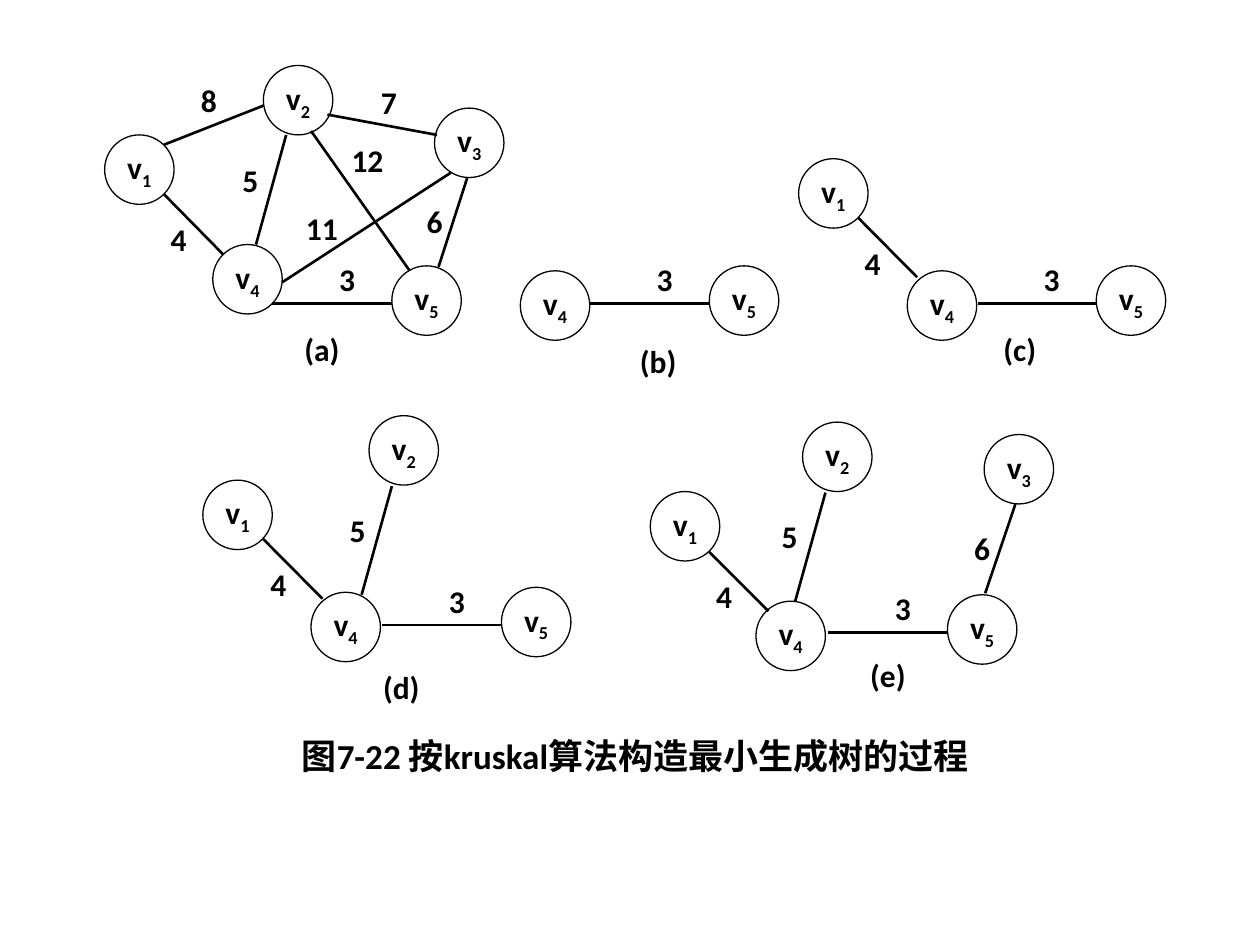
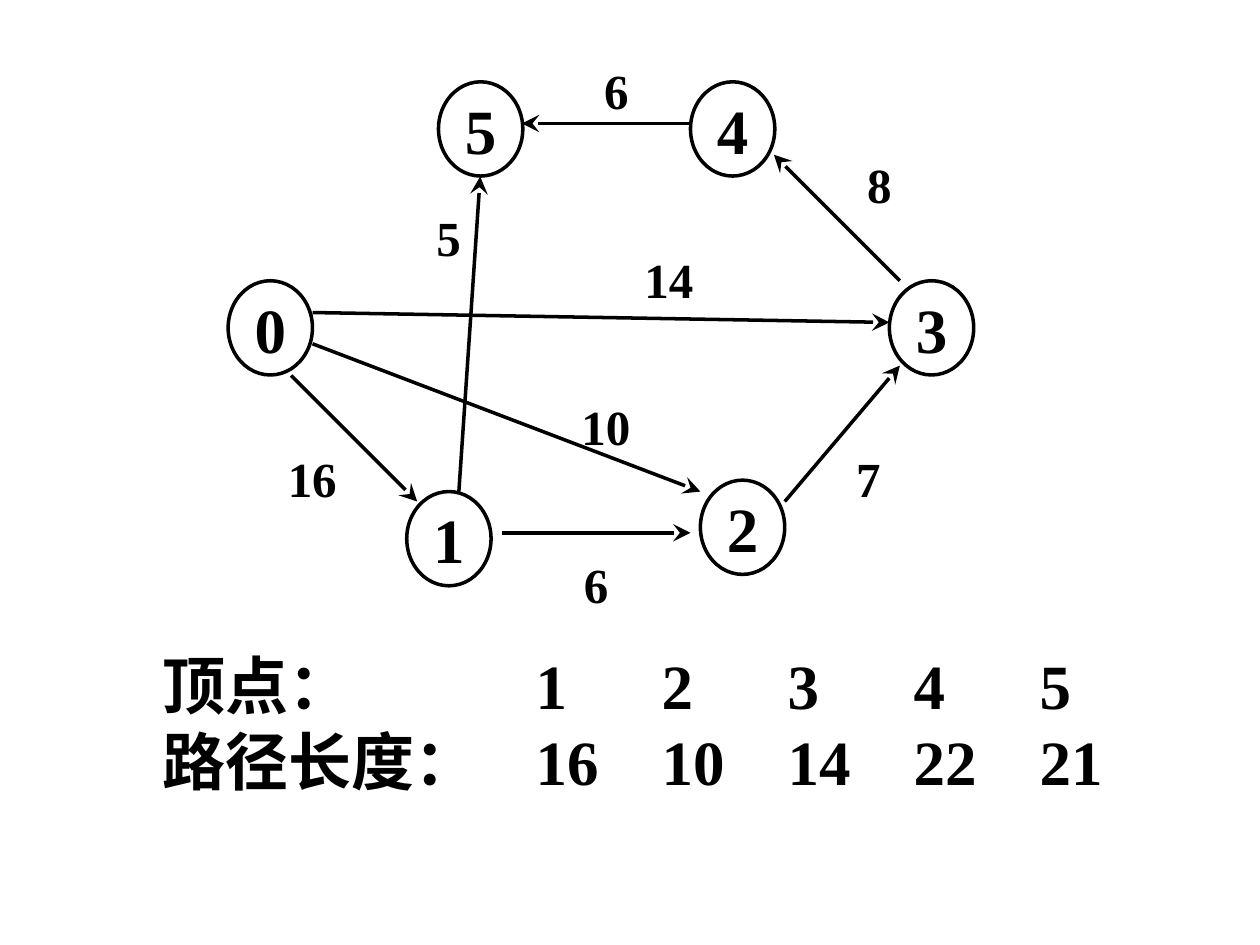
from lxml import etree
from pptx import Presentation
from pptx.dml.color import RGBColor
from pptx.enum.shapes import MSO_CONNECTOR, MSO_SHAPE
from pptx.enum.text import MSO_ANCHOR, PP_ALIGN
from pptx.oxml.ns import qn
from pptx.util import Cm, Pt

BLACK = RGBColor(0, 0, 0)
WHITE = RGBColor(255, 255, 255)
SANS, SERIF = "Calibri", "Times New Roman"
OVAL, STRAIGHT = MSO_SHAPE.OVAL, MSO_CONNECTOR.STRAIGHT
MIDDLE, TOP = MSO_ANCHOR.MIDDLE, MSO_ANCHOR.TOP
CENTER, LEFT = PP_ALIGN.CENTER, PP_ALIGN.LEFT

# Graphs in cm. Nodes: number -> left, top. Edges: weight, label corner, start, end.
KRUSKAL_TITLE = "图7-22 按kruskal算法构造最小生成树的过程"
KRUSKAL_STEPS = [
    {
        "caption": ("(a)", (5.89, 6.53)),
        "nodes": {"1": (2.11, 2.72), "2": (5.31, 1.32), "3": (8.76, 2.18),
                  "4": (4.29, 4.93), "5": (7.9, 5.36)},
        "edges": [
            ("4", (3.1, 4.32), (3.3, 3.91), (4.5, 5.13)),
            ("8", (3.71, 1.52), (3.3, 2.92), (5.31, 2.13)),
            ("5", (4.55, 3.12), (5.77, 2.72), (5.16, 4.93)),
            ("7", (7.34, 1.55), (6.6, 2.31), (8.81, 2.72)),
            ("12", (6.91, 2.72), (6.27, 2.64), (8.26, 5.46)),
            ("11", (5.99, 4.09), (5.69, 5.69), (9.09, 3.48)),
            ("3", (6.5, 5.13), (5.49, 6.12), (7.9, 6.12)),
            ("6", (8.26, 3.96), (9.42, 3.58), (8.84, 5.38)),
        ],
    },
    {
        "caption": ("(b)", (12.67, 6.78)),
        "nodes": {"4": (10.49, 5.46), "5": (14.3, 5.36)},
        "edges": [("3", (12.9, 5.13), (11.89, 6.12), (14.3, 6.12))],
    },
    {
        "caption": ("(c)", (19.96, 6.53)),
        "nodes": {"1": (16.1, 3.2), "4": (18.29, 5.46), "5": (22.1, 5.36)},
        "edges": [
            ("4", (17.09, 4.8), (17.3, 4.39), (18.49, 5.59)),
            ("3", (20.7, 5.13), (19.71, 6.12), (22.1, 6.12)),
        ],
    },
    {
        "caption": ("(d)", (7.49, 13.34)),
        "nodes": {"1": (4.09, 9.68), "2": (7.44, 8.38), "4": (6.27, 11.94),
                  "5": (10.11, 11.84)},
        "edges": [
            ("4", (5.11, 11.28), (5.31, 10.87), (6.5, 12.07)),
            ("5", (6.71, 10.19), (7.9, 9.8), (7.29, 11.99)),
            ("3", (8.71, 11.61), (7.7, 12.6), (10.11, 12.6)),
        ],
    },
    {
        "caption": ("(e)", (17.3, 13.11)),
        "nodes": {"1": (13.11, 9.91), "2": (16.18, 8.51), "3": (19.84, 8.76),
                  "4": (15.24, 12.12), "5": (19.1, 11.99)},
        "edges": [
            ("4", (14.1, 11.51), (14.3, 11.13), (15.49, 12.32)),
            ("5", (15.42, 10.31), (16.64, 9.93), (16.03, 12.12)),
            ("3", (17.7, 11.76), (16.69, 12.75), (19.1, 12.75)),
            ("6", (19.3, 10.54), (20.47, 10.16), (19.86, 11.96)),
        ],
    },
]

PATH_NODES = {"4": (13.92, 1.65), "5": (8.84, 1.65), "3": (17.93, 5.66),
              "2": (14.12, 9.68), "1": (8.2, 9.91), "0": (4.6, 5.66)}
PATH_EDGES = [
    ("8", (17.09, 3.12), (18.14, 5.66), (15.6, 3.12)),
    ("6", (11.38, 11.18), (10.11, 10.74), (13.92, 10.74)),
    ("6", (11.79, 1.22), (13.92, 2.49), (10.52, 2.49)),
    ("7", (16.87, 9.04), (15.82, 10.11), (18.14, 7.37)),
    ("14", (12.85, 5.03), (6.3, 6.3), (17.93, 6.5)),
    ("10", (11.58, 8), (6.3, 6.93), (14.12, 9.91)),
    ("16", (5.66, 9.04), (5.87, 7.57), (8.41, 10.11)),
    ("5", (8.41, 4.19), (9.25, 9.91), (9.68, 3.56)),
]
PATH_ROWS = [
    ("顶点：", "1", "2", "3", "4", "5"),
    ("路径长度：", "16", "10", "14", "22", "21"),
]
ROW_MARGIN, FIRST_COLUMN, COLUMN_STEP = 1.17, 7.52, 2.54


def format_text(box, size, font, align=CENTER, anchor=MIDDLE):
    box.text_frame.vertical_anchor = anchor
    for para in box.text_frame.paragraphs:
        para.alignment = align
        for span in para.runs:
            span.font.size = Pt(size)
            span.font.name = font
            span.font.bold = True
            span.font.color.rgb = BLACK


def add_label(page, text, corner, extent, size, font, **placing):
    box = page.shapes.add_textbox(*map(Cm, corner + extent))
    frame = box.text_frame
    frame.word_wrap = False
    frame.margin_left = frame.margin_right = 0
    frame.margin_top = frame.margin_bottom = 0
    frame.text = text
    format_text(box, size, font, **placing)
    return box


def add_node(page, text, corner, extent, line_width, size, font, subscript=""):
    node = page.shapes.add_shape(OVAL, *map(Cm, corner + extent))
    node.shadow.inherit = False
    node.line.color.rgb = BLACK
    node.line.width = Pt(line_width)
    node.text_frame.word_wrap = False
    node.text_frame.text = text
    if subscript:
        span = node.text_frame.paragraphs[0].add_run()
        span.text = subscript
        span._r.get_or_add_rPr().set("baseline", "-25000")
    format_text(node, size, font)
    return node


def add_edge(page, start, end, line_width, arrow=False):
    edge = page.shapes.add_connector(STRAIGHT, *map(Cm, start + end))
    edge.line.color.rgb = BLACK
    edge.line.width = Pt(line_width)
    properties = edge._element.spPr
    if arrow:
        etree.SubElement(properties.find(qn("a:ln")), qn("a:tailEnd"),
                         type="stealth", w="lg", len="lg")
    etree.SubElement(properties, qn("a:effectLst"))


def build_kruskal_page(page):
    for step in KRUSKAL_STEPS:
        for number, corner in step["nodes"].items():
            node = add_node(page, "v", corner, (1.4, 1.4), 0.75, 18, SANS, number)
            node.fill.background()
        for weight, corner, start, end in step["edges"]:
            add_label(page, weight, corner, (1, 1), 18, SANS)
            add_edge(page, start, end, 1.5)
        caption, corner = step["caption"]
        add_label(page, caption, corner, (1.2, 1), 18, SANS)
    add_label(page, KRUSKAL_TITLE, (5.31, 14.73), (15, 1), 20, SANS)


def build_path_page(page):
    # Vertex and path length rows, aligned by tab stops
    rows = add_label(page, "\n".join("\t".join(row) for row in PATH_ROWS),
                     (2.11, 12.9), (20.75, 3.33), 36, SERIF, align=LEFT)
    rows.text_frame.word_wrap = True
    rows.text_frame.margin_left = Cm(ROW_MARGIN)
    for para in rows.text_frame.paragraphs:
        tabs = etree.SubElement(para._p.get_or_add_pPr(), qn("a:tabLst"))
        for column in range(len(PATH_ROWS[0]) - 1):
            stop = Cm(FIRST_COLUMN + column * COLUMN_STEP)
            etree.SubElement(tabs, qn("a:tab"), pos=str(stop), algn="l")

    # Directed graph
    for number, corner in PATH_NODES.items():
        node = add_node(page, number, corner, (1.7, 1.9), 2, 36, SERIF)
        node.fill.solid()
        node.fill.fore_color.rgb = WHITE
    for weight, corner, start, end in PATH_EDGES:
        add_edge(page, start, end, 2, arrow=True)
        add_label(page, weight, corner, (1.27, 1.2), 28, SERIF, anchor=TOP)


def main():
    deck = Presentation()
    deck.slide_width, deck.slide_height = Cm(25.4), Cm(19.05)
    for build_page in (build_kruskal_page, build_path_page):
        build_page(deck.slides.add_slide(deck.slide_layouts[6]))
    deck.save("out.pptx")


if __name__ == "__main__":
    main()
